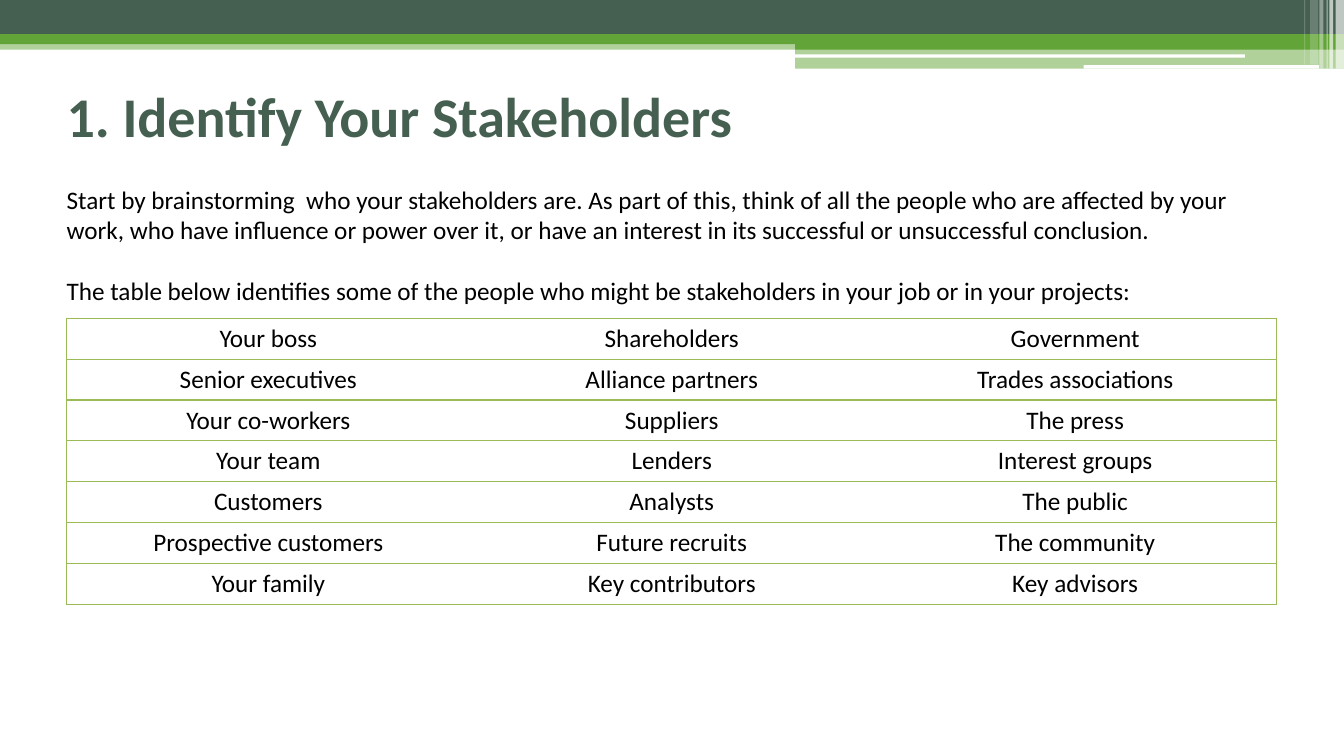
from lxml import etree
from pptx import Presentation
from pptx.dml.color import RGBColor
from pptx.enum.text import MSO_ANCHOR, PP_ALIGN
from pptx.oxml.ns import qn
from pptx.util import Cm, Pt

MIDDLE = MSO_ANCHOR.MIDDLE
CENTER = PP_ALIGN.CENTER

PAGE_WIDTH, PAGE_HEIGHT = 33.87, 19.05
MARGIN, CONTENT_WIDTH = 1.68, 30.5
STEP_X = 20.04
SLATE, GREEN, WHITE, BLACK, RULE = "455F51", "62A437", "FFFFFF", "000000", "9BBB59"

INTRO = [
    "Start by brainstorming  who your stakeholders are. As part of this, think of all the "
    "people who are affected by your work, who have influence or power over it, or have an "
    "interest in its successful or unsuccessful conclusion.",
    "The table below identifies some of the people who might be stakeholders in your job "
    "or in your projects:",
]
STAKEHOLDERS = [
    ("Your boss", "Shareholders", "Government"),
    ("Senior executives", "Alliance partners", "Trades associations"),
    ("Your co-workers", "Suppliers", "The press"),
    ("Your team", "Lenders", "Interest groups"),
    ("Customers", "Analysts", "The public"),
    ("Prospective customers", "Future recruits", "The community"),
    ("Your family", "Key contributors", "Key advisors"),
]


def color(value):
    return RGBColor.from_string(value)


def rectangle(left, top, right, bottom):
    """Corner points of one outline, in centimetres."""
    return [(left, top), (right, top), (right, bottom), (left, bottom)]


class SlideBuilder:
    font_name = "Calibri"

    def __init__(self, page):
        self.page = page

    def style(self, paragraph, size, text_color, bold=False):
        font = paragraph.font
        font.name, font.size, font.bold = self.font_name, Pt(size), bold
        font.color.rgb = color(text_color)

    def band(self, outlines, fill, opacity=100):
        """Draw one filled shape made of one or more outlines."""
        outlines = [[(Cm(x), Cm(y)) for x, y in outline] for outline in outlines]
        builder = self.page.shapes.build_freeform(*outlines[0][0])
        for index, outline in enumerate(outlines):
            if index:
                builder.move_to(*outline[0])
            builder.add_line_segments(outline[1:], close=True)
        shape = builder.convert_to_shape()
        shape.shadow.inherit = False
        shape.line.fill.background()
        shape.fill.solid()
        shape.fill.fore_color.rgb = color(fill)
        if opacity < 100:
            rgb = shape.fill._xPr.find(".//" + qn("a:srgbClr"))
            etree.SubElement(rgb, qn("a:alpha"), val=str(opacity * 1000))

    def text(self, top, width, height, paragraphs, size, text_color, bold=False, gap=0):
        box = self.page.shapes.add_textbox(Cm(MARGIN), Cm(top), Cm(width), Cm(height))
        frame = box.text_frame
        frame.word_wrap = True
        frame.margin_left = frame.margin_right = 0
        frame.margin_top = frame.margin_bottom = 0
        for index, words in enumerate(paragraphs):
            para = frame.add_paragraph() if index else frame.paragraphs[0]
            para.text = words
            if index:
                para.space_before = Pt(gap)
            self.style(para, size, text_color, bold)

    def border(self, cell, side, visible):
        line = etree.SubElement(cell._tc.get_or_add_tcPr(), qn("a:ln" + side), w=str(Pt(1)))
        if visible:
            fill = etree.SubElement(line, qn("a:solidFill"))
            etree.SubElement(fill, qn("a:srgbClr"), val=RULE)
        else:
            etree.SubElement(line, qn("a:noFill"))

    def table(self, top, row_height, rows):
        columns = len(rows[0])
        frame = self.page.shapes.add_table(
            len(rows), columns, Cm(MARGIN), Cm(top),
            Cm(CONTENT_WIDTH), Cm(row_height * len(rows)))
        table = frame.table
        table.first_row = table.horz_banding = False
        for row_index, row in enumerate(rows):
            for column, words in enumerate(row):
                cell = table.cell(row_index, column)
                cell.text = words
                cell.vertical_anchor = MIDDLE
                para = cell.text_frame.paragraphs[0]
                para.alignment = CENTER
                self.style(para, 18, BLACK)
                self.border(cell, "L", column == 0)
                self.border(cell, "R", column == columns - 1)
                self.border(cell, "T", True)
                self.border(cell, "B", True)
                cell.fill.solid()
                cell.fill.fore_color.rgb = color(WHITE)


def draw_header(slide):
    slide.band([rectangle(0, 1.12, STEP_X, 1.25)], GREEN, 50)
    slide.band([rectangle(0, 0, PAGE_WIDTH, 0.86)], SLATE)
    slide.band([[(0, 0.86), (PAGE_WIDTH, 0.86), (PAGE_WIDTH, 1.25),
                 (STEP_X, 1.25), (STEP_X, 1.12), (0, 1.12)]], GREEN)
    slide.band([rectangle(STEP_X, 1.23, PAGE_WIDTH, 1.73)], GREEN, 50)
    slide.band([rectangle(STEP_X, 1.37, 31.37, 1.45),
                rectangle(27.31, 1.64, 33.24, 1.73)], WHITE)
    slide.band([rectangle(33.5, 0, 33.6, 1.73),
                rectangle(33.66, 0, PAGE_WIDTH, 1.73)], WHITE, 65)
    stripes = [(33.43, 33.46, 1.73, 60), (33.25, 33.35, 1.73, 40),
               (33.02, 33.22, 1.63, 20), (32.87, 32.89, 1.63, 30)]
    for left, right, bottom, opacity in stripes:
        slide.band([rectangle(left, 0, right, bottom)], WHITE, opacity)


def main():
    deck = Presentation()
    deck.slide_width, deck.slide_height = Cm(PAGE_WIDTH), Cm(PAGE_HEIGHT)
    slide = SlideBuilder(deck.slides.add_slide(deck.slide_layouts[6]))
    draw_header(slide)
    slide.text(2.06, 18, 5.13, ["1. Identify Your Stakeholders"], 40, SLATE, bold=True)
    slide.text(4.65, CONTENT_WIDTH, 4.62, INTRO, 18, BLACK, gap=22)
    slide.table(8.02, 1.03, STAKEHOLDERS)
    deck.save("out.pptx")


if __name__ == "__main__":
    main()
